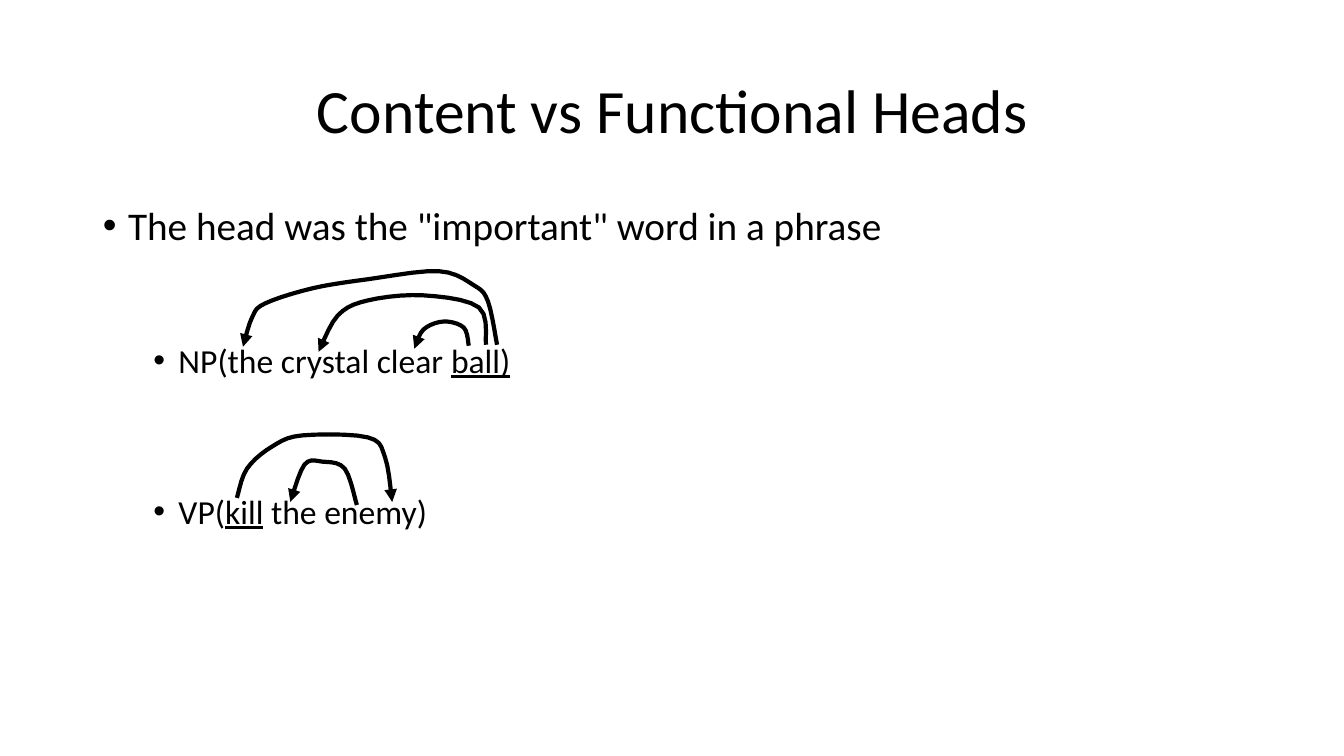
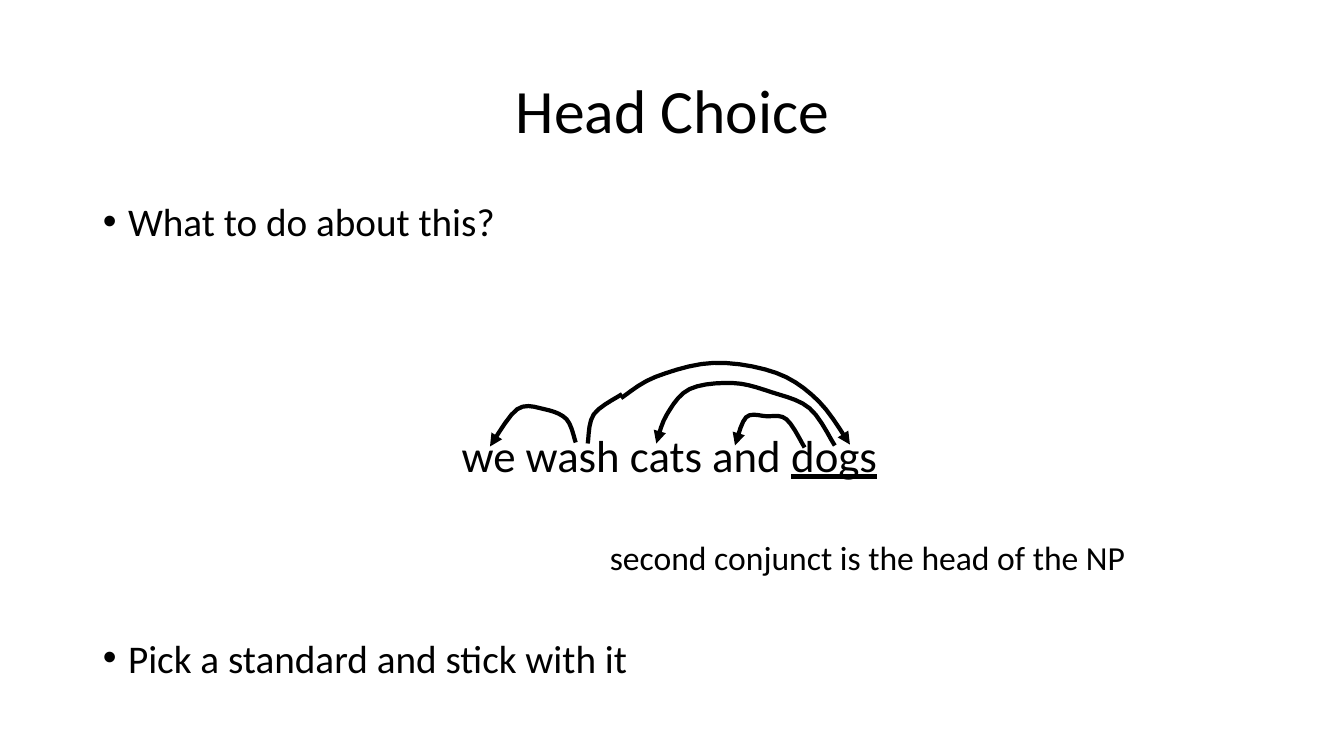
from dataclasses import dataclass

from lxml import etree
from pptx import Presentation
from pptx.dml.color import RGBColor
from pptx.enum import text as t
from pptx.oxml.ns import qn
from pptx.util import Inches, Pt


@dataclass(frozen=True)
class Theme:
    ink: RGBColor = RGBColor(0, 0, 0)
    paper: RGBColor = RGBColor(255, 255, 255)
    font: str = "Calibri"
    title: int = 44
    body: tuple = (28, 24)      # size by list level
    example: int = 32
    note: int = 24
    stroke: int = 3


TH = Theme()
TITLE_BOX = (0.92, 0.4, 11.5, 1.45)
CURVE_STEPS = 5                 # straight pieces between two points of an arc

# Content: a run is (text, underlined); a list item is (level, space before, runs);
# an arc is (has arrowhead, points in inches that the curve passes through)
SLIDES = [
    {
        "title": "Content vs Functional Heads",
        "body": (0.92, 2, 11.5, 4.76),
        "line_spacing": 0.9,
        "items": [
            (0, 0, [('The head was the "important" word in a phrase', False)]),
            (1, 68, [("NP(the crystal clear ", False), ("ball)", True)]),
            (1, 82, [("VP(", False), ("kill", True), (" the enemy)", False)]),
        ],
        "labels": [],
        "arcs": [
            # From "ball" to "clear", "crystal" and "the"
            (True, [(4.65, 3.43), (4.6, 3.25), (4.4, 3.19), (4.2, 3.27), (4.11, 3.46)]),
            (True, [(4.82, 3.42), (4.75, 3.05), (4.2, 2.93), (3.65, 2.98),
                    (3.35, 3.13), (3.16, 3.49)]),
            (True, [(4.93, 3.42), (4.84, 2.99), (4.7, 2.83), (4.35, 2.69), (3.65, 2.77),
                    (3.1, 2.86), (2.63, 3.01), (2.5, 3.15), (2.41, 3.44)]),
            # From "kill" to "enemy", from "enemy" to "the"
            (True, [(2.35, 4.94), (2.45, 4.65), (2.7, 4.43), (3, 4.32), (3.65, 4.34),
                    (3.82, 4.54), (3.89, 4.98)]),
            (True, [(3.54, 5.01), (3.42, 4.65), (3.2, 4.58), (3.02, 4.61), (2.88, 4.98)]),
        ],
    },
    {
        "title": "Head Choice",
        "body": (0.92, 2, 11.5, 5.18),
        "line_spacing": 0.8,
        "items": [
            (0, 0, [("What to do about this?", False)]),
            (0, 285, [("Pick a standard and stick with it", False)]),
        ],
        "labels": [
            ((4.48, 4.19, 4.37, 0.64), TH.example,
             [("we wash cats and ", False), ("dogs", True)]),
            ((5.95, 5.28, 5.44, 0.5), TH.note,
             [("second conjunct is the head of the NP", False)]),
        ],
        "arcs": [
            # From "wash" to "we", and in two strokes to "dogs"
            (True, [(5.71, 4.39), (5.62, 4.16), (5.4, 4.06), (5.13, 4.06), (4.86, 4.43)]),
            (False, [(5.83, 4.4), (5.89, 4.11), (6.17, 3.91)]),
            (True, [(6.16, 3.95), (6.5, 3.74), (7.08, 3.6), (7.7, 3.7), (8.12, 3.98),
                    (8.43, 4.41)]),
            # From "dogs" to "cats" and "and"
            (True, [(8.28, 4.42), (8.03, 4.05), (7.65, 3.89), (7.27, 3.8), (6.84, 3.86),
                    (6.61, 4.12), (6.51, 4.4)]),
            (True, [(7.98, 4.44), (7.8, 4.16), (7.6, 4.13), (7.4, 4.14), (7.29, 4.42)]),
        ],
    },
]


def place(sp, box):
    sp.left, sp.top, sp.width, sp.height = map(Inches, box)


def add_run(p, text, *, size, underline=False):
    r = p.add_run()
    r.text = text
    f = r.font
    f.name, f.size, f.underline = TH.font, Pt(size), underline
    f.color.rgb = TH.ink


def add_bullet(p, level):
    pPr = p._p.get_or_add_pPr()
    pPr.set("marL", str(Inches(0.25 + 0.5 * level)))
    pPr.set("indent", str(Inches(-0.25)))
    etree.SubElement(pPr, qn("a:buFont")).set("typeface", "Arial")
    etree.SubElement(pPr, qn("a:buChar")).set("char", "•")


def add_title(s, text):
    tf = s.shapes.title.text_frame
    tf.vertical_anchor = t.MSO_ANCHOR.MIDDLE
    p = tf.paragraphs[0]
    p.alignment, p.line_spacing = t.PP_ALIGN.CENTER, 0.9
    add_run(p, text, size=TH.title)


def add_list(s, box, items, line_spacing):
    sp = s.placeholders[1]
    place(sp, box)
    tf = sp.text_frame
    tf.auto_size = t.MSO_AUTO_SIZE.NONE
    for i, (level, before, runs) in enumerate(items):
        p = tf.add_paragraph() if i else tf.paragraphs[0]
        p.level, p.line_spacing, p.space_before = level, line_spacing, Pt(before)
        add_bullet(p, level)
        for text, underline in runs:
            add_run(p, text, size=TH.body[level], underline=underline)


def add_label(s, box, size, runs):
    tf = s.shapes.add_textbox(*map(Inches, box)).text_frame
    tf.word_wrap = False
    tf.auto_size = t.MSO_AUTO_SIZE.SHAPE_TO_FIT_TEXT
    for text, underline in runs:
        add_run(tf.paragraphs[0], text, size=size, underline=underline)


def smooth_curve(points):
    """Catmull-Rom curve through the points, as short straight pieces."""
    padded = [points[0], *points, points[-1]]
    curve = [points[0]]
    for quad in zip(padded, padded[1:], padded[2:], padded[3:]):
        for step in range(1, CURVE_STEPS + 1):
            k = step / CURVE_STEPS
            curve.append(tuple(
                b + k * ((c - a) + k * ((2 * a - 5 * b + 4 * c - d)
                                        + k * (3 * b - a - 3 * c + d))) / 2
                for a, b, c, d in zip(*quad)))
    return curve


def add_arc(s, arrow, points):
    start, *rest = [(Inches(x), Inches(y)) for x, y in smooth_curve(points)]
    fb = s.shapes.build_freeform(*start)
    fb.add_line_segments(rest, close=False)
    sp = fb.convert_to_shape()
    sp.shadow.inherit = False
    sp.fill.background()
    sp.line.color.rgb, sp.line.width = TH.ink, Pt(TH.stroke)
    ln = sp.element.spPr.find(qn("a:ln"))
    etree.SubElement(ln, qn("a:round"))
    if arrow:
        etree.SubElement(ln, qn("a:tailEnd")).set("type", "triangle")


def main():
    prs = Presentation()
    prs.slide_width, prs.slide_height = Inches(13.33), Inches(7.5)

    # Shared background and title position
    fill = prs.slide_master.background.fill
    fill.solid()
    fill.fore_color.rgb = TH.paper
    layout = prs.slide_layouts[1]
    place(layout.placeholders[0], TITLE_BOX)

    for content in SLIDES:
        s = prs.slides.add_slide(layout)
        add_title(s, content["title"])
        add_list(s, content["body"], content["items"], content["line_spacing"])
        for label in content["labels"]:
            add_label(s, *label)
        for arc in content["arcs"]:
            add_arc(s, *arc)

    prs.save("out.pptx")


if __name__ == "__main__":
    main()
